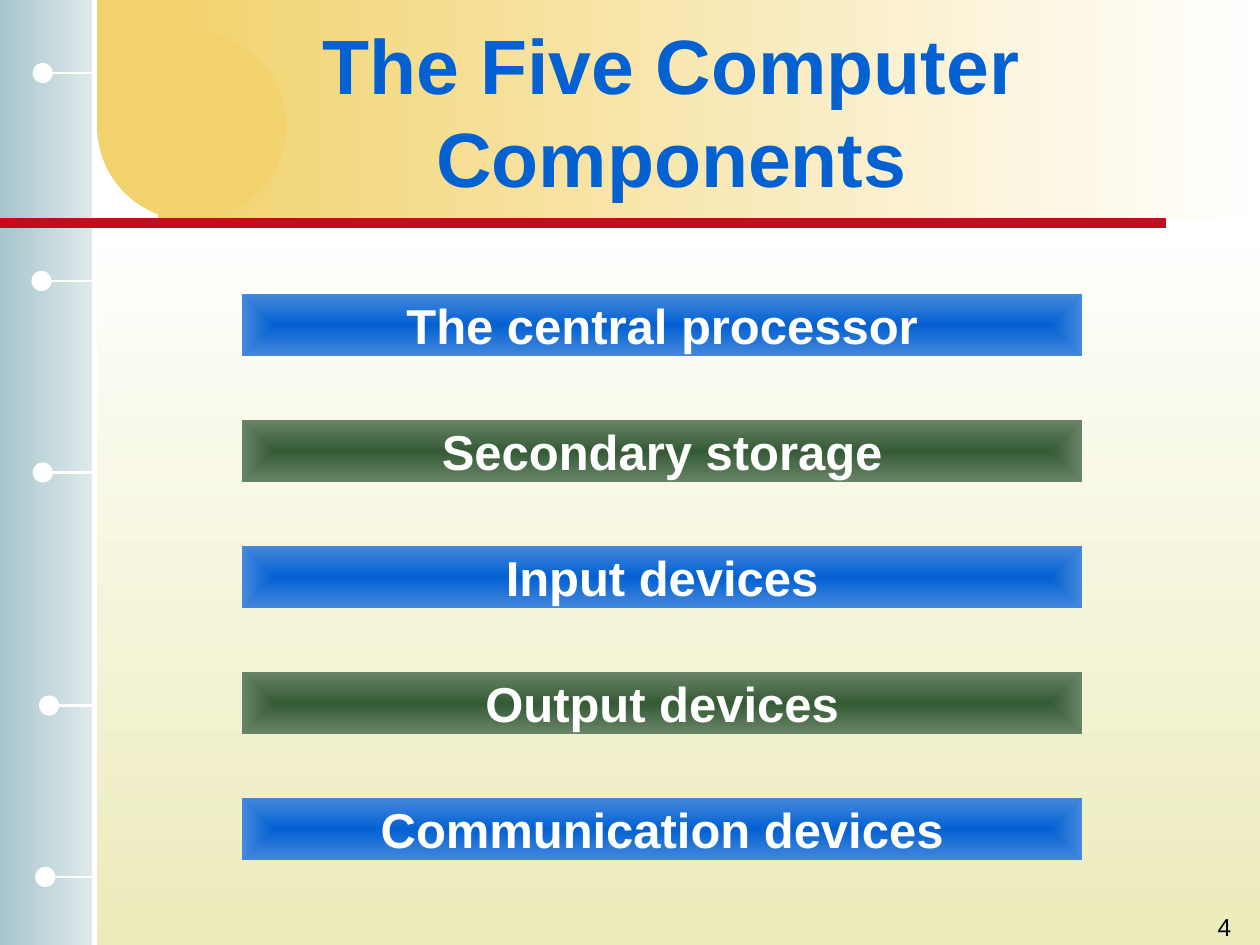
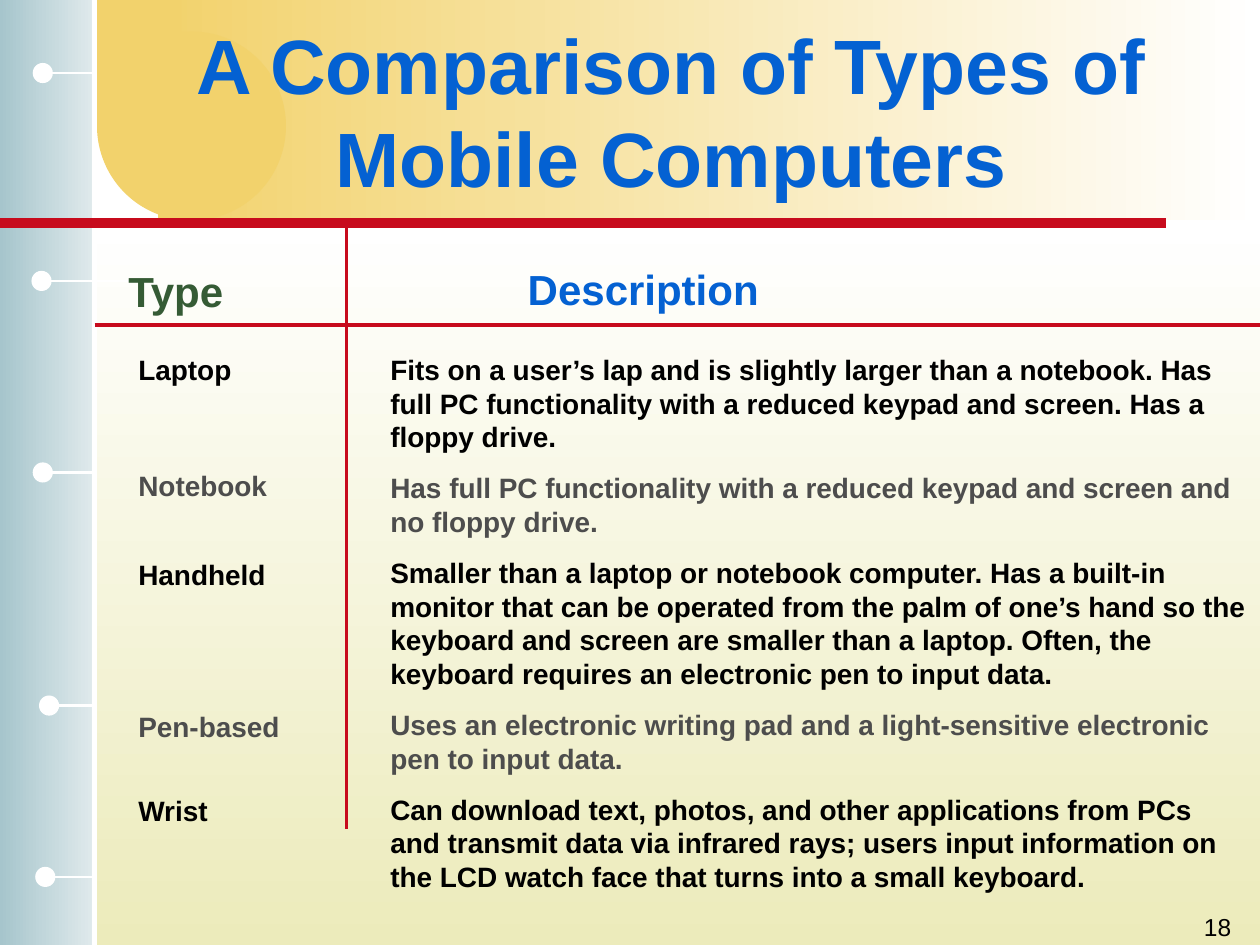
from lxml import etree
from pptx import Presentation
from pptx import util as u
from pptx.dml import color
from pptx.enum import shapes, text
from pptx.oxml import ns

FONT = "Arial"
WHITE, BLACK, GRAY = "FFFFFF", "000000", "4D4D4D"
BLUE, GREEN, RED, GOLD = "0461D2", "355B35", "C70B1D", "F2D26C"
LIGHT_BLUE, LIGHT_GREEN = "4589DC", "698569"
SLIDE_WIDTH, SLIDE_HEIGHT = 10, 7.5
SPINE_WIDTH = 0.75
RING_SIZE = 0.16
RINGS = [(0.26, 0.5, 0.75), (0.25, 2.15, 1.17), (0.26, 3.67, 0.75),
         (0.31, 5.52, 0.75), (0.28, 6.88, 0.75)]
COMPONENTS = ["The central processor", "Secondary storage", "Input devices",
              "Output devices", "Communication devices"]
COMPUTERS = [
    ("Laptop", 0,
     "Fits on a user’s lap and is slightly larger than a notebook. Has full PC "
     "functionality with a reduced keypad and screen. Has a floppy drive."),
    ("Notebook", 0.92,
     "Has full PC functionality with a reduced keypad and screen and no floppy drive."),
    ("Handheld", 1.63,
     "Smaller than a laptop or notebook computer. Has a built-in monitor that can be "
     "operated from the palm of one’s hand so the keyboard and screen are smaller than "
     "a laptop. Often, the keyboard requires an electronic pen to input data."),
    ("Pen-based", 2.83,
     "Uses an electronic writing pad and a light-sensitive electronic pen to input data."),
    ("Wrist", 3.5,
     "Can download text, photos, and other applications from PCs and transmit data via "
     "infrared rays; users input information on the LCD watch face that turns into a "
     "small keyboard."),
]


def rgb(value):
    return color.RGBColor.from_string(value)


def inches(*lengths):
    return [u.Inches(length) for length in lengths]


def add_block(slide, box, fill, kind=shapes.MSO_SHAPE.RECTANGLE):
    block = slide.shapes.add_shape(kind, *inches(*box))
    block.shadow.inherit = False
    block.line.fill.background()
    if isinstance(fill, str):
        block.fill.solid()
        block.fill.fore_color.rgb = rgb(fill)
    else:
        block.fill.gradient()
        for stop, value in zip(block.fill.gradient_stops, fill):
            stop.color.rgb = rgb(value)
    return block


def add_band(slide, box, fill, angle):
    add_block(slide, box, fill).fill.gradient_angle = angle


def radiate_from_center(block):
    gradient = block.element.spPr.find(ns.qn("a:gradFill"))
    gradient.remove(gradient.find(ns.qn("a:lin")))
    rays = etree.SubElement(gradient, ns.qn("a:path"))
    rays.set("path", "rect")
    center = etree.SubElement(rays, ns.qn("a:fillToRect"))
    for side in "ltrb":
        center.set(side, "50000")


def add_rule(slide, start, end, value, width):
    rule = slide.shapes.add_connector(
        shapes.MSO_CONNECTOR.STRAIGHT, *inches(*start, *end))
    rule.line.color.rgb = rgb(value)
    rule.line.width = u.Pt(width)
    etree.SubElement(rule.element.spPr, ns.qn("a:effectLst"))


def write(frame, paragraphs, size, bold=True, align=text.PP_ALIGN.LEFT,
          anchor=text.MSO_ANCHOR.TOP, wrap=True, gap=0):
    frame.word_wrap = wrap
    frame.vertical_anchor = anchor
    for index, (words, value) in enumerate(paragraphs):
        paragraph = frame.add_paragraph() if index else frame.paragraphs[0]
        paragraph.alignment = align
        if index:
            paragraph.space_before = u.Pt(gap)
        run = paragraph.add_run()
        run.text = words
        run.font.name = FONT
        run.font.size = u.Pt(size)
        run.font.bold = bold
        run.font.color.rgb = rgb(value)


def add_words(slide, box, paragraphs, size, **style):
    words = slide.shapes.add_textbox(*inches(*box))
    write(words.text_frame, paragraphs, size, **style)


def add_frame(slide, title, number):
    oval = shapes.MSO_SHAPE.OVAL
    add_band(slide, (0.73, 1.77, 9.27, 5.73), (WHITE, "ECEBBB"), 270)
    add_band(slide, (0, 0, SPINE_WIDTH, SLIDE_HEIGHT), ("E0EAEC", "A6C5CC"), 180)
    add_band(slide, (1.25, 0, 8.75, 1.75), (WHITE, GOLD), 180)
    add_block(slide, (0.77, 0.25, 1.5, 1.5), GOLD, oval)
    add_block(slide, (0.77, 0, 0.67, 0.96), GOLD)
    add_rule(slide, (SPINE_WIDTH, 0), (SPINE_WIDTH, SLIDE_HEIGHT), WHITE, 3)
    for left, top, wire_end in RINGS:
        middle = top + RING_SIZE / 2
        add_rule(slide, (wire_end, middle), (left + RING_SIZE / 2, middle), WHITE, 1.5)
        add_block(slide, (left, top, RING_SIZE, RING_SIZE), WHITE, oval)
    add_rule(slide, (0, 1.77), (9.25, 1.77), RED, 6)
    add_words(slide, (1.08, 0.25, 8.5, 1.25), [(title, BLUE)], 44,
              align=text.PP_ALIGN.CENTER, anchor=text.MSO_ANCHOR.MIDDLE)
    add_words(slide, (7.79, 7.19, 2.08, 0.5), [(number, BLACK)], 14,
              bold=False, align=text.PP_ALIGN.RIGHT)


def add_components(slide, box):
    left, top, width, height = box
    bar_height = 0.5
    step = (height - bar_height) / (len(COMPONENTS) - 1)
    fills = [(BLUE, LIGHT_BLUE), (GREEN, LIGHT_GREEN)]
    for index, component in enumerate(COMPONENTS):
        bar = add_block(slide, (left, top + index * step, width, bar_height),
                        fills[index % 2])
        radiate_from_center(bar)
        write(bar.text_frame, [(component, WHITE)], 28, wrap=False,
              align=text.PP_ALIGN.CENTER, anchor=text.MSO_ANCHOR.MIDDLE)


def add_comparison(slide, box):
    left, top, width, height = box
    divider = left + 2
    header_line = top + 0.83
    body_top = top + 1
    add_words(slide, (left + 3.34, top + 0.29, 2.3, 0.5), [("Description", BLUE)], 24)
    add_words(slide, (left + 0.17, top + 0.31, 1.2, 0.5), [("Type", GREEN)], 24)
    add_rule(slide, (left, header_line), (left + width, header_line), RED, 2.25)
    add_rule(slide, (divider, top), (divider, top + height), RED, 2.25)
    descriptions = []
    for index, (name, offset, description) in enumerate(COMPUTERS):
        value = (BLACK, GRAY)[index % 2]
        add_words(slide, (left + 0.25, body_top + offset, 1.5, 0.37), [(name, value)], 16)
        descriptions.append((description, value))
    add_words(slide, (divider + 0.25, body_top, width - 2.25, 4.39),
              descriptions, 16, gap=10)


def main():
    deck = Presentation()
    deck.slide_width, deck.slide_height = inches(SLIDE_WIDTH, SLIDE_HEIGHT)
    blank = deck.slide_layouts[6]

    components = deck.slides.add_slide(blank)
    add_frame(components, "The Five Computer Components", "4")
    add_components(components, (1.92, 2.33, 6.67, 4.5))

    comparison = deck.slides.add_slide(blank)
    add_frame(comparison, "A Comparison of Types of Mobile Computers", "18")
    add_comparison(comparison, (0.75, 1.75, 9.25, 4.83))

    deck.save("out.pptx")


if __name__ == "__main__":
    main()
